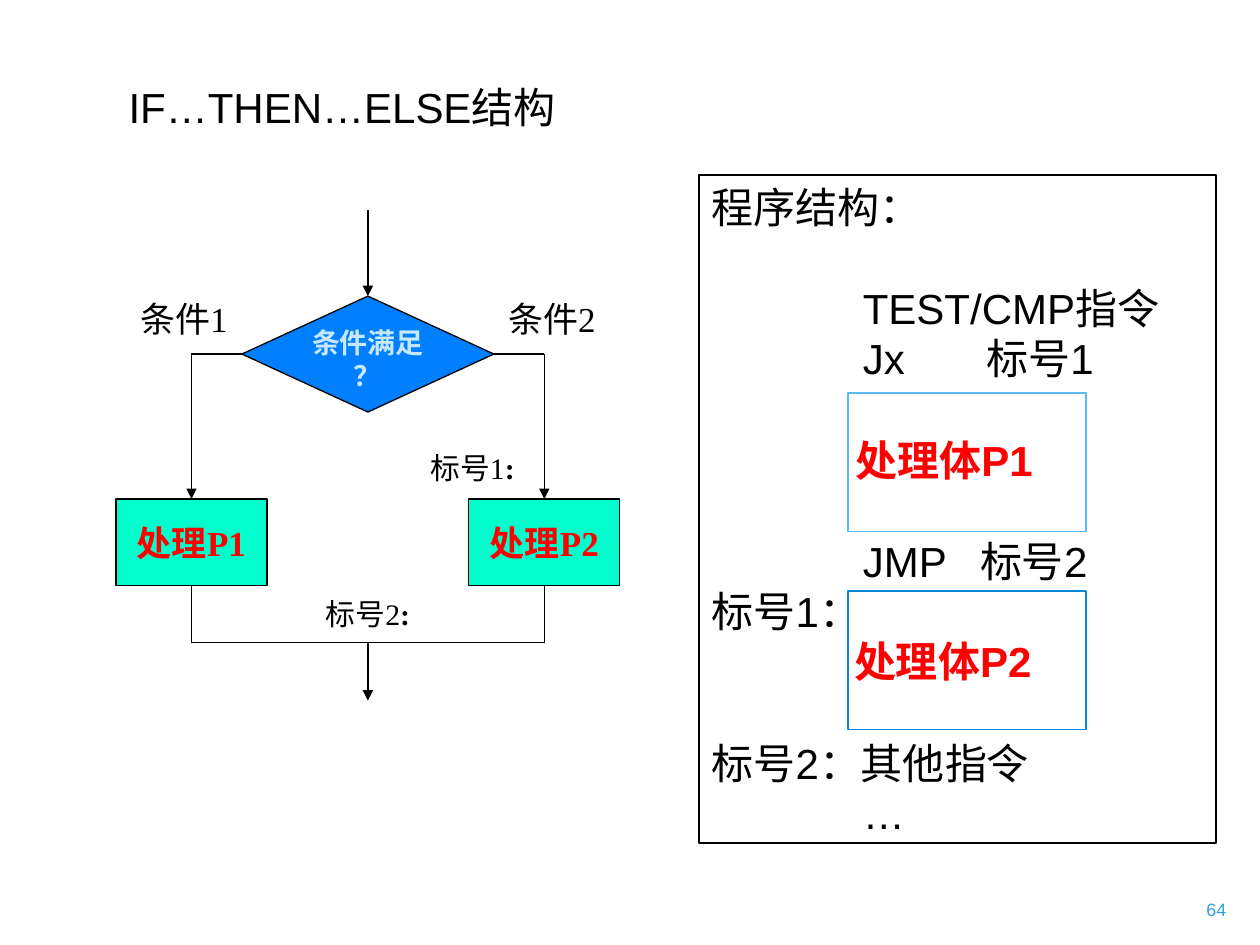
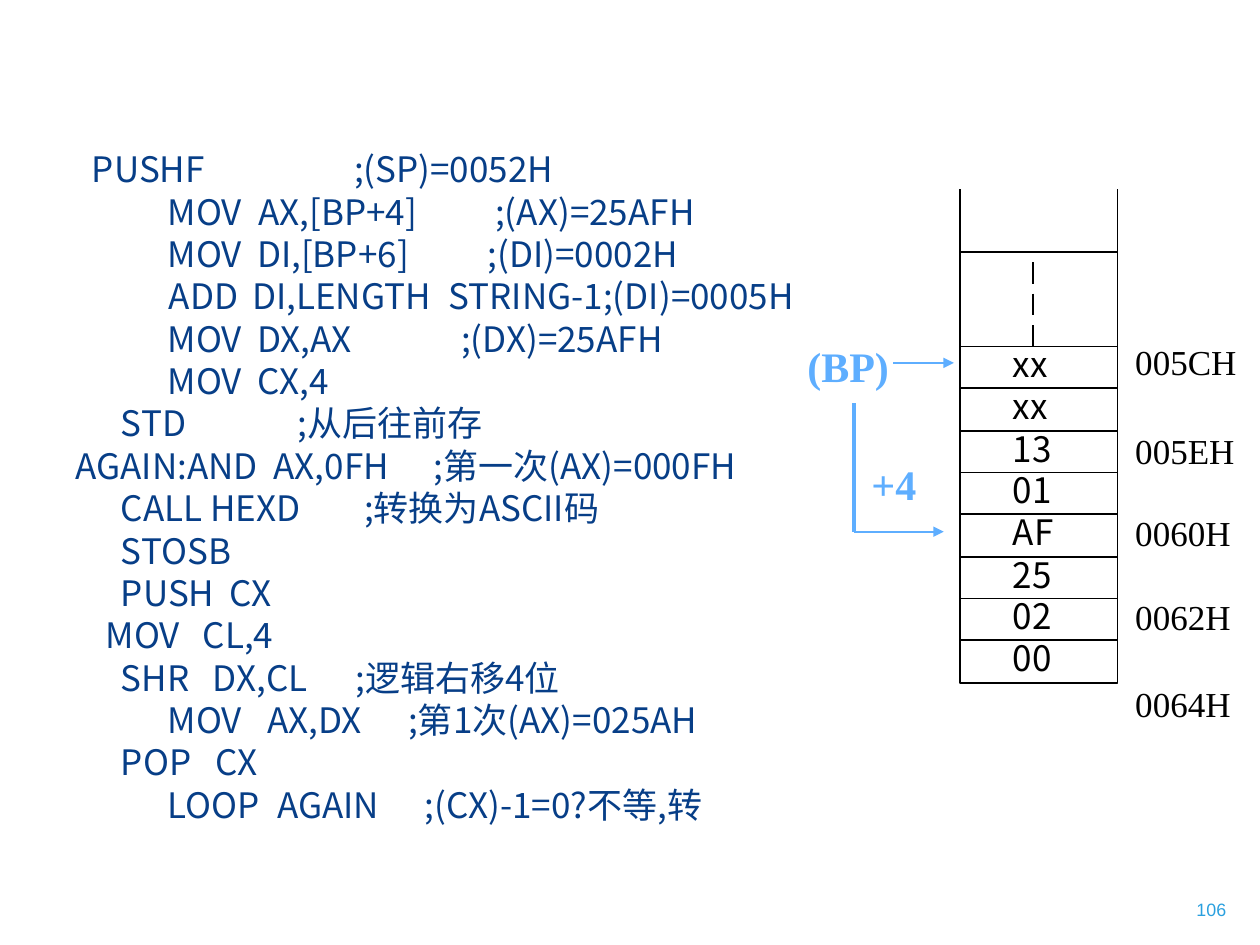
from lxml.etree import SubElement
from pptx import Presentation
from pptx.dml.color import RGBColor
from pptx.enum.shapes import MSO_CONNECTOR as Connector, MSO_SHAPE as Shape
from pptx.enum.text import MSO_ANCHOR as Anchor, PP_ALIGN as Align
from pptx.oxml.ns import qn
from pptx.util import Pt

PX = 9144
color = RGBColor.from_string
SANS, SERIF, CJK = "Arial", "Times New Roman", "Noto Sans CJK SC"
BLACK, RED, SKY, NAVY, MINT = "000000", "FF0000", "5EAEFF", "073E87", "00FFCC"
CENTER = Align.CENTER


def put(slide, box, lines=(), size=20, font=SERIF, ink=BLACK, bold=False, align=Align.LEFT,
        anchor=Anchor.TOP, inset=(10, 5), kind=None, fill=None, edge=None, weight=1, pitch=None):
    place = [n * PX for n in box]
    if kind is None:
        shape = slide.shapes.add_textbox(*place)
    else:
        shape = slide.shapes.add_shape(kind, *place)
        shape.shadow.inherit = False
        shape.line.color.rgb = color(edge)
        shape.line.width = Pt(weight)
        if fill:
            shape.fill.solid()
            shape.fill.fore_color.rgb = color(fill)
        else:
            shape.fill.background()
    frame = shape.text_frame
    frame.word_wrap = True
    frame.vertical_anchor = anchor
    frame.margin_left = frame.margin_right = inset[0] * PX
    frame.margin_top = frame.margin_bottom = inset[1] * PX
    for i, (text, stops, gap) in enumerate(lines):
        para = frame.add_paragraph() if i else frame.paragraphs[0]
        para.text = text
        para.alignment = align
        para.space_before = Pt(gap)
        if pitch:
            para.line_spacing = Pt(pitch)
        if stops:
            tabs = SubElement(para._p.get_or_add_pPr(), qn("a:tabLst"))
            for stop in stops:
                SubElement(tabs, qn("a:tab"), pos=str(stop * PX), algn="l")
        for run in para.runs:
            run.font.size = Pt(size)
            run.font.name = font
            run.font.bold = bold
            run.font.color.rgb = color(ink)
            SubElement(run.font._element, qn("a:ea"), typeface=CJK)
    return shape


def rule(slide, x1, y1, x2, y2, ink=BLACK, weight=1, arrow=False, start=None, end=None):
    line = slide.shapes.add_connector(Connector.STRAIGHT, x1 * PX, y1 * PX, x2 * PX, y2 * PX)
    line.line.color.rgb = color(ink)
    line.line.width = Pt(weight)
    if start:
        line.begin_connect(*start)
    if end:
        line.end_connect(*end)
    props = line._element.spPr
    if arrow:
        SubElement(props.find(qn("a:ln")), qn("a:tailEnd"), type="triangle")
    SubElement(props, qn("a:effectLst"))


prs = Presentation()
prs.slide_width, prs.slide_height = 1000 * PX, 750 * PX
branch, stack = [prs.slides.add_slide(prs.slide_layouts[6]) for _ in range(2)]
for slide, number in ((branch, "64"), (stack, "106")):
    put(slide, (900, 708, 83, 27), [(number, (), 0)], 10.2, SANS, "2AA0DF", align=Align.RIGHT)

put(branch, (59, 60, 425, 50), [("IF…THEN…ELSE结构", (), 0)], 24, SANS, align=CENTER)
program = [
    ("程序结构：", (), 0),
    ("\tTEST/CMP指令", (120,), 29),
    ("\tJx\t标号1", (120, 218), 0),
    ("\t处理体P1", (114,), 29),
    ("\tJMP\t标号2", (120, 213), 29),
    ("标号1：", (), 0),
    ("\t处理体P2", (113,), 0),
    ("标号2：其他指令", (), 29),
    ("\t…", (120,), 0),
]
listing = put(branch, (555, 139, 410, 530), program, 24, SANS, kind=Shape.RECTANGLE, edge=BLACK)
for para in listing.text_frame.paragraphs:
    if "处理体" in para.text:
        for run in para.runs:
            run.font.bold = True
            run.font.color.rgb = color(RED)
for top, edge in ((469, "0B87D6"), (312, "5BBAF6")):
    put(branch, (673, top, 189, 110), kind=Shape.RECTANGLE, edge=edge)

decision = put(branch, (192, 235, 200, 92), [("条件满足", (), 0), ("？", (), 0)], 16, SANS, "C6E7FC",
               True, CENTER, inset=(0, 0), kind=Shape.FLOWCHART_DECISION, fill="0080FF",
               edge=BLACK, weight=0.75)
rule(branch, 292, 167, 292, 235, weight=0.75, arrow=True, end=(decision, 0))
for x, name, side in ((152, "处理P1", 1), (432, "处理P2", 3)):
    process = put(branch, (x - 60, 396, 120, 69), [(name, (), 0)], 20, SERIF, RED, True, CENTER,
                  Anchor.MIDDLE, kind=Shape.RECTANGLE, fill=MINT, edge=BLACK, weight=0.75)
    rule(branch, x, 281, x, 281, weight=0.75, start=(decision, side))
    rule(branch, x, 281, x, 396, weight=0.75, arrow=True, end=(process, 0))
    rule(branch, x, 465, x, 510, weight=0.75, start=(process, 2))
rule(branch, 152, 510, 432, 510, weight=0.75)
rule(branch, 292, 510, 292, 556, weight=0.75, arrow=True)

for x, y, text, size in ((335, 348, "标号1", 17), (252, 464, "标号2", 17),
                         (106, 230, "条件1", 20), (398, 230, "条件2", 20)):
    label = put(branch, (x, y, 80, 46), [(text, (), 0)], size, align=CENTER,
                anchor=Anchor.MIDDLE, inset=(0, 0))
    if size == 17:
        colon = label.text_frame.paragraphs[0].add_run()
        colon.text = ":"
        colon.font.size, colon.font.name, colon.font.bold = Pt(size), SERIF, True
        colon.font.color.rgb = color(BLACK)

code = [
    ("\tPUSHF\t;(SP)=0052H", (62, 270)),
    ("\tMOV\tAX,[BP+4]\t;(AX)=25AFH", (122, 194, 382)),
    ("\tMOV\tDI,[BP+6]\t;(DI)=0002H", (122, 193, 376)),
    ("\tADD\tDI,LENGTH\tSTRING-1;(DI)=0005H", (123, 189, 345)),
    ("\tMOV\tDX,AX\t;(DX)=25AFH", (122, 193, 355)),
    ("\tMOV\tCX,4", (122, 193)),
    ("\tSTD\t;从后往前存", (85, 225)),
    ("\tAGAIN:AND\tAX,0FH\t;第一次(AX)=000FH", (49, 206, 333)),
    ("\tCALL HEXD\t;转换为ASCII码", (85, 278)),
    ("\tSTOSB", (85,)),
    ("\tPUSH\tCX", (85, 171)),
    ("\tMOV\tCL,4", (73, 150)),
    ("\tSHR\tDX,CL\t;逻辑右移4位", (85, 158, 271)),
    ("\tMOV\tAX,DX\t;第1次(AX)=025AH", (122, 201, 313)),
    ("\tPOP\tCX", (85, 160)),
    ("\tLOOP\tAGAIN\t;(CX)-1=0?不等,转", (122, 209, 326)),
]
put(stack, (11, 116, 638, 605), [(text, stops, 0) for text, stops in code], 20, CJK, NAVY,
    inset=(0, 1), pitch=24.2)

left, right = 762, 887
put(stack, (left, 200, right - left, 342), kind=Shape.RECTANGLE, fill="FFFFFF", edge=BLACK)
for x in (left, right):
    rule(stack, x, 150, x, 250)
for i, value in enumerate(("xx", "xx", "13", "01", "AF", "25", "02", "00")):
    row = 275 + round(i * 100 / 3)
    rule(stack, left, row, right, row)
    put(stack, (794, row - 8, 68, 44), [(value, (), 0)], font=CJK)
for top in (208, 233, 258):
    rule(stack, 820, top, 820, top + 17)
for top, address in ((265, "005CH"), (336, "005EH"), (401, "0060H"),
                     (468, "0062H"), (537, "0064H")):
    put(stack, (901, top, 95, 44), [(address, (), 0)], inset=(0, 5))

put(stack, (631, 265, 87, 50), [("(BP)", (), 0)], 24, ink=SKY, bold=True)
put(stack, (678, 359, 63, 50), [("+4", (), 0)], 24, ink=SKY, bold=True, align=CENTER)
rule(stack, 709, 288, 757, 288, SKY, arrow=True)
rule(stack, 678, 320, 678, 422, SKY, 2.25)
rule(stack, 678, 422, 749, 422, SKY, arrow=True)

prs.save("out.pptx")
